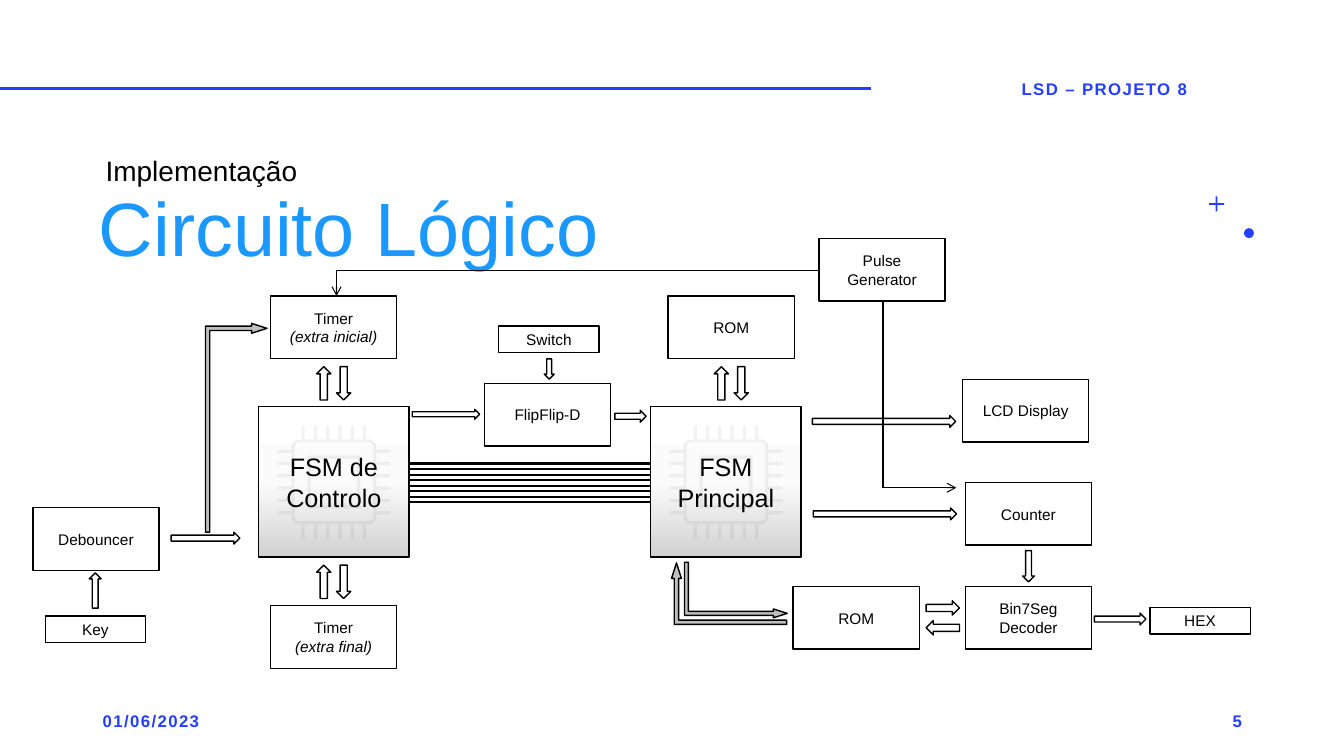
"""Builds the block diagram slide of the logic circuit."""
from copy import deepcopy
from math import cos, pi, sin

from pptx import Presentation
from pptx import util as u
from pptx.dml.color import RGBColor
from pptx.enum import shapes, text
from pptx.oxml.ns import qn
from pptx.oxml.xmlchemy import OxmlElement

BLUE = RGBColor(0x24, 0x3F, 0xFF)
SKY = RGBColor(0x1A, 0x98, 0xFF)
BLACK = RGBColor(0, 0, 0)
GREY = RGBColor(0xBF, 0xBF, 0xBF)
FADE = [(0, RGBColor(0xFF, 0xFF, 0xFF)), (0.5, RGBColor(0xFB, 0xFB, 0xFB)),
        (1, RGBColor(0xD1, 0xD1, 0xD1))]

SMALL, LABEL, HEADING = (2.53, 0.67), (3.18, 1.58), (17.2, 3.28)
SIDE = 3.79
BLOCKS = [
    (["Key"], 1.14, 15.52, SMALL),
    (["Debouncer"], 0.83, 12.79, LABEL),
    (["Timer", "(extra inicial)"], 6.82, 7.46, LABEL),
    (["Timer", "(extra final)"], 6.82, 15.26, LABEL),
    (["Pulse Generator"], 20.64, 6.01, LABEL),
    (["Switch"], 12.57, 8.22, SMALL),
    (["FlipFlip-D"], 12.21, 9.66, LABEL),
    (["ROM"], 16.84, 7.46, LABEL),
    (["ROM"], 19.99, 14.78, LABEL),
    (["Bin7Seg", "Decoder"], 24.33, 14.78, LABEL),
    (["HEX"], 28.98, 15.31, SMALL),
    (["Counter"], 24.33, 12.16, LABEL),
    (["LCD Display"], 24.26, 9.56, LABEL),
]
MACHINES = [("FSM de Controlo", 6.52), ("FSM Principal", 16.4)]
MACHINE_TOP = 10.25

ARROWS = [
    (2.4, 14.88, 0.89, 0.3, 270),
    (5.18, 13.56, 1.73, 0.3, 0),
    (11.24, 10.44, 1.7, 0.25, 0),
    (15.89, 10.49, 0.79, 0.3, 0),
    (13.84, 9.3, 0.51, 0.25, 90),
    (28.23, 15.6, 1.3, 0.3, 0),
    (22.3, 12.95, 3.61, 0.3, 0),
    (25.92, 14.27, 0.79, 0.3, 90),
    (22.28, 10.62, 3.61, 0.3, 0),
]
VERTICAL_PAIRS = [(8.41, 9.66), (8.41, 14.66), (18.43, 9.66)]
HORIZONTAL_PAIR = (23.76, 15.57)
PAIR_OFFSET = 0.25
BENT_ARROWS = [
    ((5.18, 8.15, 1.55, 5.26), 0, False),
    ((17.6, 13.51, 1.55, 2.9), 270, False),
    ((17.25, 14.17, 2.59, 1.4), 0, True),
]
BUS = {"left": 10.29, "right": 16.38, "top": 11.68, "step": 0.14, "count": 8}
LINES = [
    ((0, 2.24, 21.95, 2.24), BLUE, 2, False),
    ((8.46, 6.81, 20.62, 6.81), BLACK, 1, False),
    ((8.48, 6.81, 8.48, 7.46), BLACK, 0.75, True),
    ((22.25, 12.29, 24.1, 12.29), BLACK, 0.75, True),
    ((22.25, 12.29, 22.25, 7.6), BLACK, 1, False),
]

LEFT, CENTER, RIGHT = text.PP_ALIGN.LEFT, text.PP_ALIGN.CENTER, text.PP_ALIGN.RIGHT
MIDDLE, BOTTOM = text.MSO_ANCHOR.MIDDLE, text.MSO_ANCHOR.BOTTOM
FOOTER_FONT = {"size": u.Pt(12), "bold": True}
CAPTIONS = [
    ("01/06/2023", (2.34, 17.65, 7.62, 1.02), LEFT),
    ("LSD – PROJETO 8", (22.12, 1.73, 11.43, 1.02), CENTER),
    ("5", (23.93, 17.65, 7.62, 1.02), RIGHT),
]
TITLES = [("Circuito Lógico", 2.24, 3.71, 54, SKY), ("Implementação", 2.41, 1.57, 20, BLACK)]


def write(shape, lines, color, font, align=CENTER, anchor=MIDDLE, spacing=None):
    frame = shape.text_frame
    frame.word_wrap = True
    frame.vertical_anchor = anchor
    frame.text = "\n".join(lines)
    for paragraph in frame.paragraphs:
        paragraph.alignment = align
        paragraph.line_spacing = spacing
        run = paragraph.runs[0]
        for name, value in {"name": "Arial", **font}.items():
            setattr(run.font, name, value)
        run.font.color.rgb = color
        if run.text.startswith("("):
            run.font.italic = True


def add_text(slide, box, *args, **options):
    shape = slide.shapes.add_textbox(*map(u.Cm, box))
    write(shape, *args, **options)
    return shape


def add_figure(slide, kind, box, fill=None, line=BLACK):
    shape = slide.shapes.add_shape(kind, *map(u.Cm, box))
    paint(shape, fill, line)
    return shape


def paint(shape, fill, line):
    shape.shadow.inherit = False
    for target, color in ((shape.fill, fill), (shape.line.fill, line)):
        if color is None:
            target.background()
        else:
            target.solid()
            target.fore_color.rgb = color
    if line is not None:
        shape.line.width = u.Pt(1)


def add_arrow(slide, x, y, length, thickness, rotation):
    box = (x - length / 2, y - thickness / 2, length, thickness)
    add_figure(slide, shapes.MSO_SHAPE.RIGHT_ARROW, box).rotation = rotation


def add_line(slide, ends, color, width, arrow=False):
    line = slide.shapes.add_connector(shapes.MSO_CONNECTOR.STRAIGHT, *map(u.Cm, ends))
    line.line.color.rgb = color
    line.line.width = u.Pt(width)
    if arrow:
        tail = OxmlElement("a:tailEnd")
        tail.set("type", "arrow")
        line.line._get_or_add_ln().append(tail)
    line._element.spPr.append(OxmlElement("a:effectLst"))


def fade(shape):
    shape.fill.gradient()
    shape.fill.gradient_angle = 270
    stop_list = shape._element.spPr.find(".//" + qn("a:gsLst"))
    stop_list.append(deepcopy(stop_list[-1]))
    for stop, (position, color) in zip(shape.fill.gradient_stops, FADE):
        stop.position = position
        stop.color.rgb = color


def chip_ring(half, radius=0, pin_tip=None):
    """Returns a closed square outline around zero, with rounded corners and six pins a side."""
    center = radius - half
    side = [(center + radius * cos(pi + pi * i / 12), center + radius * sin(pi + pi * i / 12))
            for i in range(7)]
    if pin_tip:
        for pin in range(6):
            x = (pin - 2.5) * 0.31
            side += [(x - 0.04, -half), (x - 0.04, -pin_tip),
                     (x + 0.04, -pin_tip), (x + 0.04, -half)]
    ring = []
    for _ in range(4):
        ring += side
        side = [(-y, x) for x, y in side]
    return ring


def add_rings(slide, x, y, rings):
    outlines = [[(u.Cm(x + dx), u.Cm(y + dy)) for dx, dy in ring] for ring in rings]
    builder = slide.shapes.build_freeform(*outlines[0][0])
    for number, outline in enumerate(outlines):
        if number:
            builder.move_to(*outline[0])
        builder.add_line_segments(outline[1:], close=True)
    shape = builder.convert_to_shape()
    paint(shape, BLACK, None)
    alpha = OxmlElement("a:alpha")
    alpha.set("val", "5000")
    shape._element.spPr.find(".//" + qn("a:srgbClr")).append(alpha)


def main():
    presentation = Presentation()
    presentation.slide_width, presentation.slide_height = u.Cm(33.87), u.Cm(19.05)
    slide = presentation.slides.add_slide(presentation.slide_layouts[6])
    kinds = shapes.MSO_SHAPE

    add_figure(slide, kinds.OVAL, (31.35, 5.75, 0.25, 0.25), BLUE, None)
    plus = add_figure(slide, kinds.CROSS, (30.47, 4.95, 0.38, 0.38), BLUE, None)
    plus.adjustments[0] = 0.44
    for caption, box, align in CAPTIONS:
        shape = add_text(slide, box, [caption], BLUE, FOOTER_FONT, align)
        shape.text_frame.paragraphs[0].runs[0].font._element.set("spc", "100")
    for title, left, top, size, color in TITLES:
        add_text(slide, (left, top, *HEADING), [title], color, {"size": u.Pt(size)},
                 LEFT, BOTTOM, 0.9)

    for name, left in MACHINES:
        machine = add_figure(slide, kinds.RECTANGLE, (left, MACHINE_TOP, SIDE, SIDE))
        fade(machine)
        write(machine, [name], BLACK, {"size": u.Pt(18)})
        x, y = left + SIDE / 2, MACHINE_TOP + SIDE / 2
        add_rings(slide, x, y, [chip_ring(0.67), chip_ring(0.58)])
        add_rings(slide, x, y, [chip_ring(1.07, 0.2, 1.42), chip_ring(0.99, 0.12)])
    for lines, left, top, size in BLOCKS:
        block = add_figure(slide, kinds.RECTANGLE, (left, top, *size))
        write(block, lines, BLACK, {"size": u.Pt(11)})

    for arrow in ARROWS:
        add_arrow(slide, *arrow)
    for sign in (-1, 1):
        shift = sign * PAIR_OFFSET
        for x, y in VERTICAL_PAIRS:
            add_arrow(slide, x + shift, y, 0.84, 0.36, 180 - 90 * sign)
        x, y = HORIZONTAL_PAIR
        add_arrow(slide, x, y + shift, 0.84, 0.36, 90 + 90 * sign)
    for box, rotation, flipped in BENT_ARROWS:
        bent = add_figure(slide, kinds.BENT_ARROW, box, GREY)
        bent.rotation = rotation
        for index, value in enumerate((0.07, 0.08, 0.25, 0)):
            bent.adjustments[index] = value
        if flipped:
            bent._element.spPr.get_or_add_xfrm().set("flipV", "1")

    for wire in range(BUS["count"]):
        y = BUS["top"] + wire * BUS["step"]
        add_line(slide, (BUS["left"], y, BUS["right"], y), BLACK, 1.5)
    for line in LINES:
        add_line(slide, *line)
    presentation.save("out.pptx")


if __name__ == "__main__":
    main()
